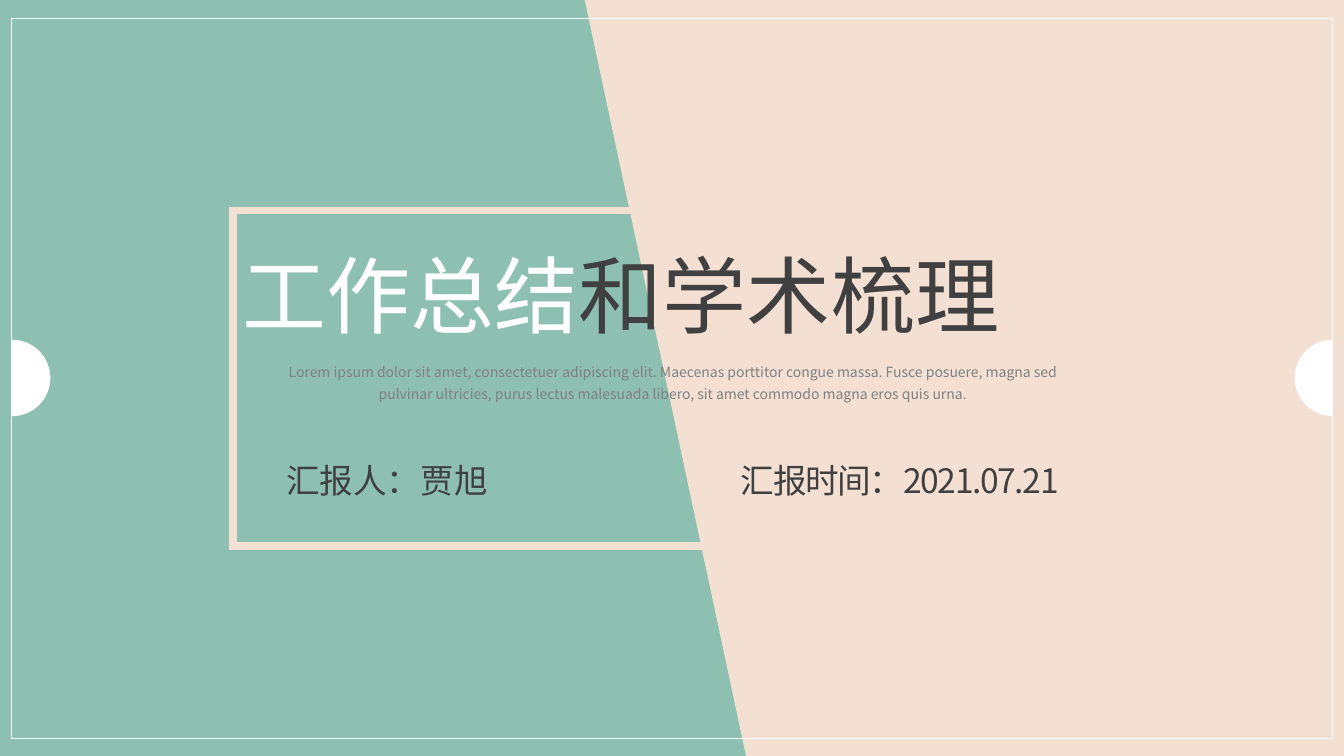
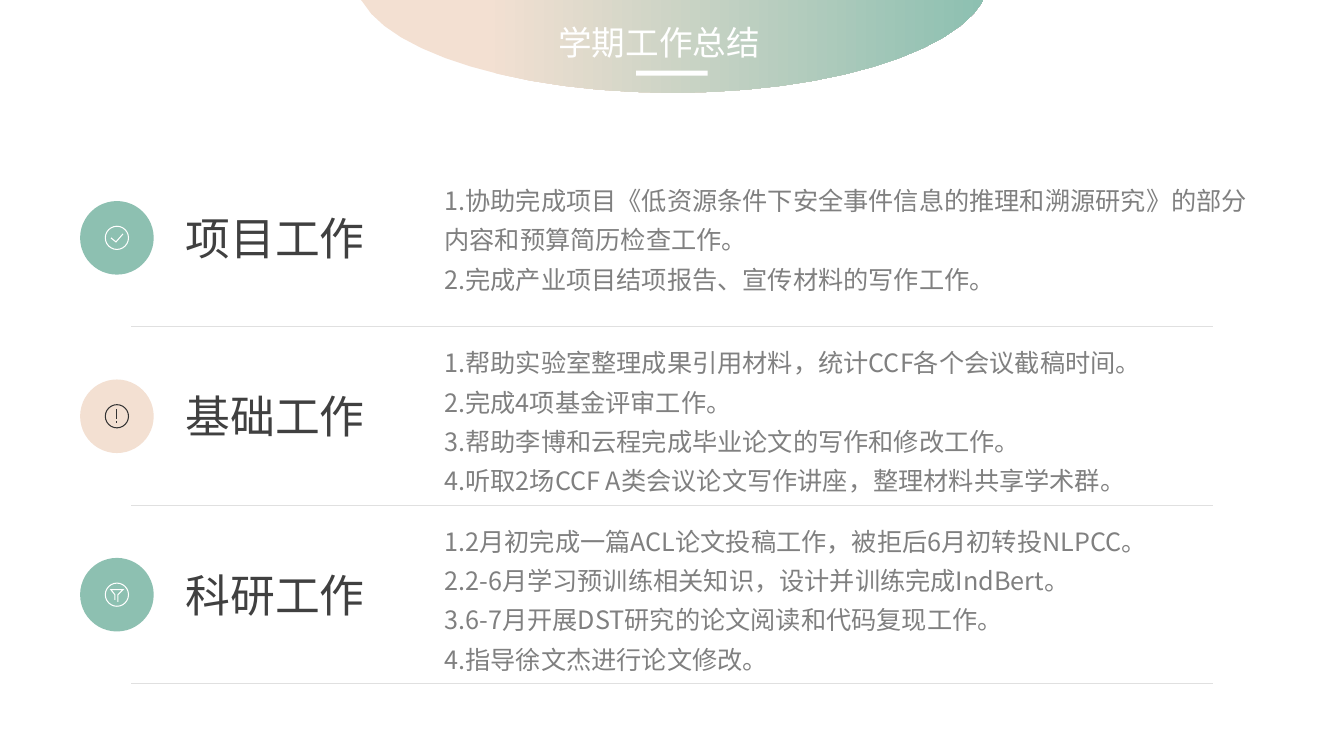
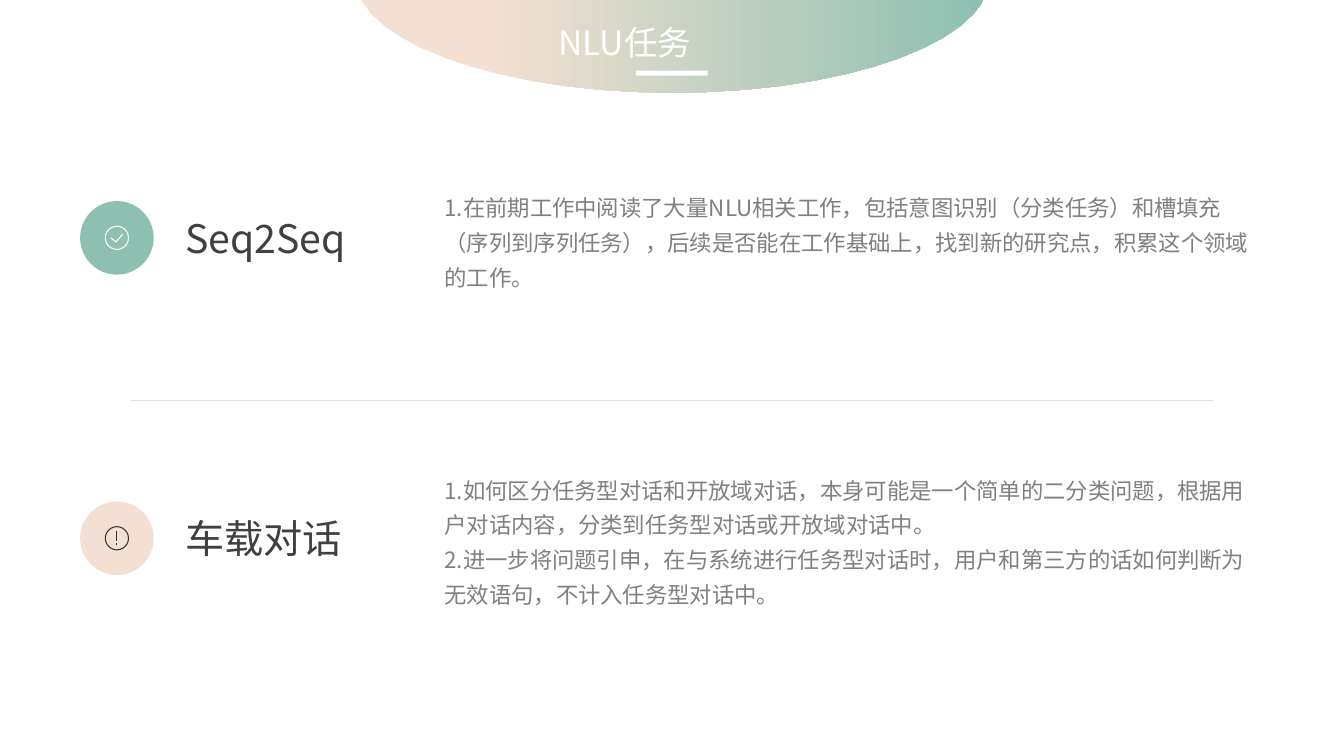
from dataclasses import dataclass

from lxml import etree
from pptx import Presentation
from pptx.dml.color import RGBColor
from pptx.enum.shapes import MSO_CONNECTOR, MSO_SHAPE
from pptx.enum.text import MSO_AUTO_SIZE, PP_ALIGN
from pptx.oxml.ns import qn
from pptx.util import Inches, Pt

RECT, OVAL = MSO_SHAPE.RECTANGLE, MSO_SHAPE.OVAL
STRAIGHT = MSO_CONNECTOR.STRAIGHT
GROW = MSO_AUTO_SIZE.SHAPE_TO_FIT_TEXT
LEFT, CENTER, JUSTIFY = PP_ALIGN.LEFT, PP_ALIGN.CENTER, PP_ALIGN.JUSTIFY


@dataclass(frozen=True)
class Theme:
    font: str = "Noto Sans CJK SC"
    green: str = "8DC0B1"
    sand: str = "F3E0D2"
    peach: str = "FFC6A5"
    white: str = "FFFFFF"
    dark: str = "404040"
    ink: str = "333333"
    gray: str = "808080"
    rule: str = "E0E0E0"
    cover: int = 60
    title: int = 24
    note: int = 10
    hair: float = 0.5
    stroke: float = 0.75
    frame: float = 5.5


T = Theme()
WIDE, HIGH = 13.33, 7.5

COVER = {
    "title": [("工作总结", T.white), ("和学术梳理", T.dark)],
    "note": "Lorem ipsum dolor sit amet, consectetuer adipiscing elit. "
            "Maecenas porttitor congue massa. Fusce posuere, magna sed "
            "pulvinar ultricies, purus lectus malesuada libero, sit amet "
            "commodo magna eros quis urna.",
    "name": "汇报人：贾旭",
    "date": "汇报时间：2021.07.21",
}

# Each row: heading, icon, top and height of its text, paragraphs
PAGES = [
    {
        "title": "学期工作总结", "head": 32, "body": 18,
        "step": 1.77, "rules": [3.24, 5.01, 6.78],
        "rows": [
            ("项目工作", "tick", 1.7, 1.24, [
                "1.协助完成项目《低资源条件下安全事件信息的推理和溯源研究》的部分内容和预算简历检查工作。",
                "2.完成产业项目结项报告、宣传材料的写作工作。"]),
            ("基础工作", "alert", 3.31, 1.64, [
                "1.帮助实验室整理成果引用材料，统计CCF各个会议截稿时间。",
                "2.完成4项基金评审工作。",
                "3.帮助李博和云程完成毕业论文的写作和修改工作。",
                "4.听取2场CCF A类会议论文写作讲座，整理材料共享学术群。"]),
            ("科研工作", "funnel", 5.08, 1.64, [
                "1.2月初完成一篇ACL论文投稿工作，被拒后6月初转投NLPCC。",
                "2.2-6月学习预训练相关知识，设计并训练完成IndBert。",
                "3.6-7月开展DST研究的论文阅读和代码复现工作。",
                "4.指导徐文杰进行论文修改。"]),
        ],
    },
    {
        "title": "NLU任务", "head": 28, "body": 16,
        "step": 2.98, "rules": [3.97],
        "rows": [
            ("Seq2Seq", "tick", 1.8, 1.12, [
                "1.在前期工作中阅读了大量NLU相关工作，包括意图识别（分类任务）和槽填充（序列到序列任务），后续是否能在工作基础上，找到新的研究点，积累这个领域的工作。"]),
            ("车载对话", "alert", 4.6, 1.47, [
                "1.如何区分任务型对话和开放域对话，本身可能是一个简单的二分类问题，根据用户对话内容，分类到任务型对话或开放域对话中。",
                "2.进一步将问题引申，在与系统进行任务型对话时，用户和第三方的话如何判断为无效语句，不计入任务型对话中。"]),
        ],
    },
]

# Disc colour, stroke colour and strokes measured from the disc centre
ICONS = {
    "tick": (T.green, T.white, [[(-0.06, 0), (-0.01, 0.04), (0.06, -0.04)]]),
    "alert": (T.sand, T.ink, [[(0, -0.07), (0, 0.03)], [(0, 0.05), (0, 0.07)]]),
    "funnel": (T.green, T.white, [[
        (-0.02, 0.05), (-0.02, 0), (-0.06, -0.05),
        (0.06, -0.05), (0.01, 0), (0.01, 0.07)]]),
}


def rgb(code):
    return RGBColor.from_string(code)


def style(shape, fill=None, line=None, weight=T.hair):
    shape.shadow.inherit = False
    if fill:
        shape.fill.solid()
        shape.fill.fore_color.rgb = rgb(fill)
    else:
        shape.fill.background()
    if line:
        shape.line.color.rgb = rgb(line)
        shape.line.width = Pt(weight)
        edge = shape._element.spPr.find(qn("a:ln"))
        etree.SubElement(edge, qn("a:miter"), lim="800000")
    else:
        shape.line.fill.background()
    return shape


def preset(slide, kind, box, **look):
    return style(slide.shapes.add_shape(kind, *map(Inches, box)), **look)


def outline(slide, points, close=True, **look):
    first, *rest = [(Inches(x), Inches(y)) for x, y in points]
    pen = slide.shapes.build_freeform(*first)
    pen.add_line_segments(rest, close=close)
    return style(pen.convert_to_shape(), **look)


def curve(a, b, c, d, count):
    """Points along a cubic curve from a to d."""
    points = []
    for i in range(count + 1):
        t = i / count
        u = 1 - t
        mix = (u ** 3, 3 * u * u * t, 3 * u * t * t, t ** 3)
        points.append(tuple(sum(m * p[k] for m, p in zip(mix, (a, b, c, d)))
                            for k in (0, 1)))
    return points


def link(slide, start, end, color, weight=T.hair):
    line = slide.shapes.add_connector(STRAIGHT, *map(Inches, (*start, *end)))
    line.line.color.rgb = rgb(color)
    line.line.width = Pt(weight)
    etree.SubElement(line._element.spPr, qn("a:effectLst"))


def write(slide, box, paras, size, color=T.dark, align=LEFT, lead=None, gap=None):
    """Text box; a paragraph is a string or a list of (text, colour) runs."""
    frame = slide.shapes.add_textbox(*map(Inches, box)).text_frame
    frame.word_wrap = True
    frame.auto_size = GROW
    for i, para in enumerate(paras):
        p = frame.paragraphs[0] if i == 0 else frame.add_paragraph()
        for name, value in {"alignment": align, "line_spacing": lead}.items():
            setattr(p, name, value)
        for text, tint in [(para, color)] if isinstance(para, str) else para:
            run = p.add_run()
            run.text = text
            for name, value in {"name": T.font, "size": Pt(size)}.items():
                setattr(run.font, name, value)
            run.font.color.rgb = rgb(tint)
            props = run._r.get_or_add_rPr()
            etree.SubElement(props, qn("a:ea"), typeface=T.font)
            if gap:
                props.set("spc", str(gap))


def half(slide, edge, side):
    """Half disc on a frame edge, bulging to side 1 (right) or -1 (left)."""
    mid, r, pull = 3.75, 0.38, 0.21
    tip = (edge + side * r, mid)
    top = curve((edge, mid - r), (edge + side * pull, mid - r),
                (tip[0], mid - pull), tip, 8)
    low = [(x, 2 * mid - y) for x, y in reversed(top[:-1])]
    outline(slide, top + low, fill=T.white)


def cover(slide):
    slide.background.fill.solid()
    slide.background.fill.fore_color.rgb = rgb(T.peach)
    outline(slide, [(0, 0), (6.45, 0), (8.27, HIGH), (0, HIGH)], fill=T.green)
    outline(slide, [(5.8, 0), (WIDE, 0), (WIDE, HIGH), (7.4, HIGH)], fill=T.sand)
    preset(slide, RECT, (2.31, 2.09, 8.71, 3.33), line=T.sand, weight=T.frame)
    write(slide, (2.31, 2.37, 8.71, 1.11), [COVER["title"]], T.cover, align=JUSTIFY)
    write(slide, (2.74, 3.51, 7.86, 0.52), [COVER["note"]], T.note, T.gray,
          CENTER, 1.3)
    for key, left, gap in (("name", 2.74, None), ("date", 7.25, -100)):
        write(slide, (left, 4.51, 3.47, 0.5), [COVER[key]], T.title,
              align=JUSTIFY, gap=gap)
    preset(slide, RECT, (0.11, 0.18, 13.11, 7.15), line=T.white)
    half(slide, 0.12, 1)
    half(slide, 13.22, -1)


def header(slide, title):
    right = curve((9.75, 0.01), (9.45, 0.53), (8.19, 0.92), (6.67, 0.92), 12)
    left = curve((6.67, 0.92), (5.15, 0.92), (3.88, 0.53), (3.59, 0.01), 12)
    bowl = outline(slide, [(3.58, 0), (9.75, 0)] + right + left[1:], fill=T.sand)
    bowl.fill.gradient()
    bowl.fill.gradient_angle = 0
    for stop, spot, color in zip(bowl.fill.gradient_stops, (0.2, 1),
                                 (T.sand, T.green)):
        stop.position = spot
        stop.color.rgb = rgb(color)
    write(slide, (5.44, 0.17, 2.46, 0.5), [title], T.title, T.white, JUSTIFY)
    preset(slide, RECT, (6.31, 0.7, 0.71, 0.05), fill=T.white)


def icon(slide, kind, x, y):
    disc, ink, strokes = ICONS[kind]
    for size, look in ((0.73, {"fill": disc}),
                       (0.23, {"line": ink, "weight": T.stroke})):
        preset(slide, OVAL, (x - size / 2, y - size / 2, size, size), **look)
    for stroke in strokes:
        points = [(x + dx, y + dy) for dx, dy in stroke]
        if len(points) == 2:
            link(slide, *points, ink, T.stroke)
        else:
            outline(slide, points, close=False, line=ink, weight=T.stroke)


def page(slide, data):
    deep = 0.08 + data["head"] * 0.0175
    for i, (head, kind, top, tall, paras) in enumerate(data["rows"]):
        mid = 2.36 + i * data["step"]
        icon(slide, kind, 1.16, mid)
        write(slide, (1.74, mid - deep / 2, 2.28, deep), [head], data["head"])
        write(slide, (4.31, top, 8.23, tall), paras, data["body"], T.gray, lead=1.3)
    header(slide, data["title"])
    for y in data["rules"]:
        link(slide, (1.3, y), (12.03, y), T.rule)


def main():
    deck = Presentation()
    deck.slide_width, deck.slide_height = Inches(WIDE), Inches(HIGH)
    blank = deck.slide_layouts[6]
    cover(deck.slides.add_slide(blank))
    for data in PAGES:
        page(deck.slides.add_slide(blank), data)
    deck.save("out.pptx")


if __name__ == "__main__":
    main()
